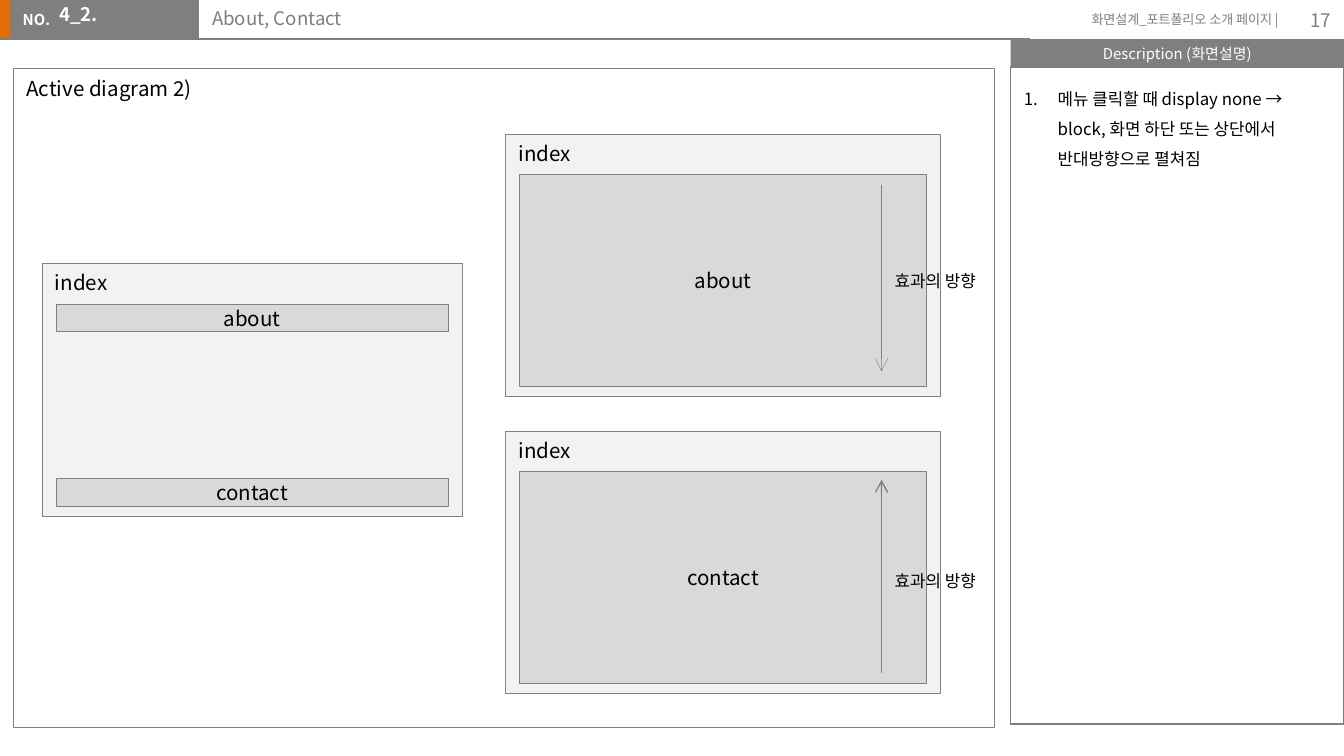
from pptx import Presentation
from pptx.dml.color import RGBColor
from pptx.enum.shapes import MSO_CONNECTOR, MSO_SHAPE
from pptx.enum.text import MSO_ANCHOR, PP_ALIGN
from pptx.oxml.ns import qn
from pptx.util import Cm, Pt
from lxml.etree import SubElement

THEME = {
    "font": "Noto Sans CJK KR",
    "accent": "E36C09", "bar": "7F7F7F", "line": "808080",
    "screen": "F2F2F2", "panel": "D9D9D9", "white": "FFFFFF", "black": "000000",
    "tiny": 7, "small": 8, "note": 9, "head": 10, "label": 11,
    "hair": 0.25, "rule": 0.75,
}

HEADER_BARS = [
    ((-0.03, 0, 0.3, 0.74), "accent"),
    ((0.2, 0, 3.56, 0.74), "bar"),
]
HEADER_TEXTS = [
    ("NO.", (0.18, 0.08, 1.04, 0.61),
     dict(size="small", color="white", bold=True, insets=(0.25, 0.13, 0, 0.13))),
    ("화면설계_포트폴리오 소개 페이지 |", (19.38, 0.08, 5.03, 0.61),
     dict(size="tiny", color="bar", align=PP_ALIGN.RIGHT)),
    ("17", (23.88, 0, 1.52, 0.76),
     dict(size="head", color="bar", align=PP_ALIGN.RIGHT, anchor=MSO_ANCHOR.MIDDLE)),
    ("4_2.", (0.23, -0.15, 2.79, 0.79),
     dict(size="head", color="white", bold=True, insets=(0.89, 0.25, 0.25, 0.25))),
    ("About, Contact", (3.76, -0.08, 15.6, 0.81),
     dict(size="head", color="bar", insets=(0.25,) * 4)),
]
DESCRIPTION = "Description (화면설명)"
NOTES = ["메뉴 클릭할 때 display none → block, 화면 하단 또는 상단에서 반대방향으로 펼쳐짐"]
DIAGRAM_TITLE = "Active diagram 2)"
SCREENS = [
    ((9.55, 2.54, 8.23, 4.95), 4.01, [("about", 0.76)]),
    ((9.55, 8.15, 8.23, 4.95), 4.01, [("contact", 0.76)]),
    ((0.79, 4.98, 7.95, 4.78), 0.52, [("about", 0.77), ("contact", 4.07)]),
]
PANEL_MARGIN = 0.27
ARROW_X = 16.66
DIRECTION = "효과의 방향"
ARROWS = [(3.5, 7.02, "hair", 4.98), (12.72, 9.07, "rule", 10.65)]
SIDE_X, SIDE_W = 19.1, 6.3

prs = Presentation()
prs.slide_width, prs.slide_height = Cm(25.4), Cm(14.29)
s = prs.slides.add_slide(prs.slide_layouts[6])


def rgb(name):
    return RGBColor.from_string(THEME[name])


def write(sp, text, size="label", color="black", bold=False, align=PP_ALIGN.LEFT,
          anchor=MSO_ANCHOR.TOP, insets=(0.25, 0.13, 0.25, 0.13)):
    tf = sp.text_frame
    sides = ("margin_left", "margin_top", "margin_right", "margin_bottom")
    frame = dict(zip(sides, map(Cm, insets)), word_wrap=True, vertical_anchor=anchor)
    for key, value in frame.items():
        setattr(tf, key, value)
    p = tf.paragraphs[0]
    p.alignment = align
    r = p.add_run()
    r.text = text
    for key, value in dict(name=THEME["font"], size=Pt(THEME[size]), bold=bold).items():
        setattr(r.font, key, value)
    r.font.color.rgb = rgb(color)
    SubElement(r.font._element, qn("a:ea"), typeface=THEME["font"])
    return p


def text_box(text, box, **fmt):
    return write(s.shapes.add_textbox(*map(Cm, box)), text, **fmt)


def rect(box, fill=None, line=None, weight="hair"):
    sp = s.shapes.add_shape(MSO_SHAPE.RECTANGLE, *map(Cm, box))
    sp.shadow.inherit = False
    if fill:
        sp.fill.solid()
        sp.fill.fore_color.rgb = rgb(fill)
    else:
        sp.fill.background()
    if line:
        sp.line.color.rgb = rgb(line)
        sp.line.width = Pt(THEME[weight])
    else:
        sp.line.fill.background()
    return sp


def connect(x1, y1, x2, y2, color, weight, arrow=False):
    cx = s.shapes.add_connector(MSO_CONNECTOR.STRAIGHT, *map(Cm, (x1, y1, x2, y2)))
    cx.line.color.rgb = rgb(color)
    cx.line.width = Pt(THEME[weight])
    if arrow:
        SubElement(cx.line._get_or_add_ln(), qn("a:tailEnd"), type="arrow")
    SubElement(cx._element.spPr, qn("a:effectLst"))


def number(p):
    pPr = p._p.get_or_add_pPr()
    pPr.set("marL", str(Cm(0.64)))
    pPr.set("indent", str(-Cm(0.64)))
    p.line_spacing = 1.5
    color = SubElement(pPr, qn("a:buClr"))
    SubElement(color, qn("a:srgbClr"), val=THEME["black"])
    SubElement(pPr, qn("a:buFont"), typeface=THEME["font"])
    SubElement(pPr, qn("a:buAutoNum"), type="arabicPeriod")


for box, fill in HEADER_BARS:
    rect(box, fill)
connect(0, 0.74, 19.46, 0.74, "bar", "rule")
write(rect((SIDE_X, 0.74, SIDE_W, 0.53), "bar"), DESCRIPTION, size="small",
      color="white", align=PP_ALIGN.CENTER, anchor=MSO_ANCHOR.MIDDLE)
rect((SIDE_X, 1.27, SIDE_W, 12.42), line="bar", weight="rule")
for text, box, fmt in HEADER_TEXTS:
    text_box(text, box, **fmt)
for note in NOTES:
    number(text_box(note, (SIDE_X, 1.35, SIDE_W, 12.37), size="note"))

rect((0.25, 1.3, 18.54, 12.45), "white", "line")
text_box(DIAGRAM_TITLE, (0.25, 1.3, 3.96, 0.74), align=PP_ALIGN.JUSTIFY)
for box, panel_h, panels in SCREENS:
    left, top, width, height = box
    write(rect(box, "screen", "line"), "index")
    for name, offset in panels:
        panel = (left + PANEL_MARGIN, top + offset, width - 2 * PANEL_MARGIN, panel_h)
        write(rect(panel, "panel", "line"), name,
              align=PP_ALIGN.CENTER, anchor=MSO_ANCHOR.MIDDLE)
for start, end, weight, label_y in ARROWS:
    connect(ARROW_X, start, ARROW_X, end, "line", weight, arrow=True)
    text_box(DIRECTION, (ARROW_X, label_y, 2.39, 0.64), size="note", align=PP_ALIGN.JUSTIFY)

prs.save("out.pptx")
